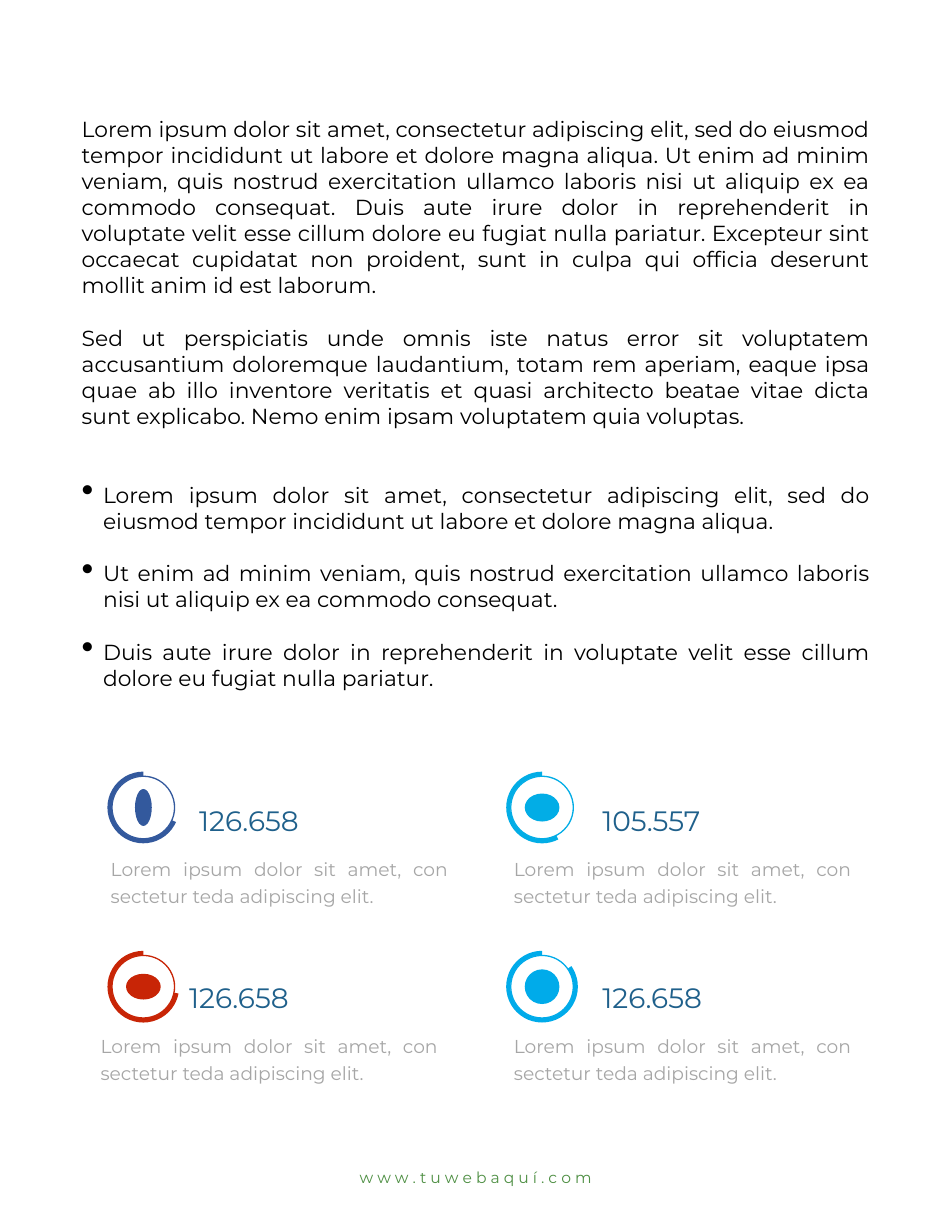
from lxml.etree import SubElement
from pptx import Presentation
from pptx.dml.color import RGBColor
from pptx.enum.shapes import MSO_SHAPE
from pptx.enum.text import MSO_ANCHOR, MSO_AUTO_SIZE, PP_ALIGN
from pptx.oxml.ns import qn
from pptx.util import Inches, Pt

# Content: text, space before in blank lines, bulleted
BODY = [
    ("Lorem ipsum dolor sit amet, consectetur adipiscing elit, sed do eiusmod "
     "tempor incididunt ut labore et dolore magna aliqua. Ut enim ad minim "
     "veniam, quis nostrud exercitation ullamco laboris nisi ut aliquip ex ea "
     "commodo consequat. Duis aute irure dolor in reprehenderit in voluptate "
     "velit esse cillum dolore eu fugiat nulla pariatur. Excepteur sint "
     "occaecat cupidatat non proident, sunt in culpa qui officia deserunt "
     "mollit anim id est laborum.", 0, False),
    ("Sed ut perspiciatis unde omnis iste natus error sit voluptatem "
     "accusantium doloremque laudantium, totam rem aperiam, eaque ipsa quae ab "
     "illo inventore veritatis et quasi architecto beatae vitae dicta sunt "
     "explicabo. Nemo enim ipsam voluptatem quia voluptas.", 1, False),
    ("Lorem ipsum dolor sit amet, consectetur adipiscing elit, sed do eiusmod "
     "tempor incididunt ut labore et dolore magna aliqua.", 2, True),
    ("Ut enim ad minim veniam, quis nostrud exercitation ullamco laboris nisi "
     "ut aliquip ex ea commodo consequat.", 1, True),
    ("Duis aute irure dolor in reprehenderit in voluptate velit esse cillum "
     "dolore eu fugiat nulla pariatur.", 1, True),
]
NOTE = "Lorem ipsum dolor sit amet, con sectetur teda adipiscing elit."
# Row by row: count, colour, arc start in degrees, note left, mark size
STATS = [
    ("126.658", "33599D", 24, 0.89, (0.15, 0.33)),
    ("105.557", "02ADE6", 63, 4.49, (0.31, 0.25)),
    ("126.658", "C82506", 11, 0.8, (0.31, 0.23)),
    ("126.658", "00ABEA", 325, 4.49, (0.31, 0.31)),
]
SITE = "w w w . t u w e b a q u í . c o m"

THEME = {
    "font": "Montserrat",
    "body": (14, "000000"),
    "note": (12, "A6A6A6"),
    "count": (18, "1F608B"),
    "site": (10, "4E8F43"),
}
LINE = 16.8  # points per body line
COLS, RINGS, NOTES = (1.28, 4.84), (7.21, 8.81), (7.52, 9.1)

deck = Presentation()
deck.slide_width, deck.slide_height = Inches(8.5), Inches(11)
slide = deck.slides.add_slide(deck.slide_layouts[6])


def style(par, kind, **form):
    size, tint = THEME[kind]
    for key, val in form.items():
        setattr(par, key, val)
    for key, val in {"name": THEME["font"], "size": Pt(size)}.items():
        setattr(par.font, key, val)
    par.font.color.rgb = RGBColor.from_string(tint)


def frame(box, pad, **form):
    text = slide.shapes.add_textbox(*map(Inches, box)).text_frame
    sides = ("left", "top", "right", "bottom")
    base = {"word_wrap": True, **{f"margin_{s}": Inches(pad) for s in sides}}
    for key, val in {**base, **form}.items():
        setattr(text, key, val)
    return text


def label(box, text, kind, pad=0.1, form=None, **look):
    par = frame(box, pad, **(form or {})).paragraphs[0]
    par.text = text
    style(par, kind, **look)


def shape(kind, mid, size, tint, *adjust):
    (x, y), (w, h) = mid, size
    item = slide.shapes.add_shape(
        kind, *map(Inches, (x - w / 2, y - h / 2, w, h)))
    for i, val in enumerate(adjust):
        item.adjustments[i] = val
    item.shadow.inherit = False
    item.fill.solid()
    item.fill.fore_color.rgb = RGBColor.from_string(tint)
    item.line.fill.background()


def bullet(par):
    props = par._p.get_or_add_pPr()
    props.set("marL", str(Inches(0.19)))
    props.set("indent", str(-Inches(0.19)))
    SubElement(props, qn("a:buSzPct")).set("val", "160000")
    SubElement(props, qn("a:buChar")).set("char", "•")


# Body text and bullets
body = frame((0.7, 1, 7.1, 5.26), 0.03,
             auto_size=MSO_AUTO_SIZE.SHAPE_TO_FIT_TEXT)
for i, (text, gap, dot) in enumerate(BODY):
    par = body.add_paragraph() if i else body.paragraphs[0]
    par.text = text
    if dot:
        bullet(par)
    style(par, "body", alignment=PP_ALIGN.JUSTIFY, space_before=Pt(gap * LINE))

# Grid of counts, each with a ring and a plain mark
for i, (count, tint, start, left, mark) in enumerate(STATS):
    row, col = divmod(i, 2)
    mid, top = (COLS[col], RINGS[row]), NOTES[row]
    shape(MSO_SHAPE.BLOCK_ARC, mid, (0.64, 0.64), tint,
          start * 0.6, 270 * 0.6, 0.06)  # angles count 60000 to the degree
    shape(MSO_SHAPE.DONUT, mid, (0.57, 0.57), tint, 0.02)
    shape(MSO_SHAPE.OVAL, mid, mark, tint)
    label((left, top, 3.21, 0.64), NOTE, "note",
          alignment=PP_ALIGN.JUSTIFY, line_spacing=1.2)
    label((left + 0.79, top - 0.51, 1.44, 0.48), count, "count",
          line_spacing=1.2)

# Web address
label((3.15, 10.37, 2.19, 0.28), SITE, "site", 0.06,
      {"word_wrap": False, "vertical_anchor": MSO_ANCHOR.MIDDLE,
       "auto_size": MSO_AUTO_SIZE.SHAPE_TO_FIT_TEXT},
      alignment=PP_ALIGN.CENTER)

deck.save("out.pptx")
